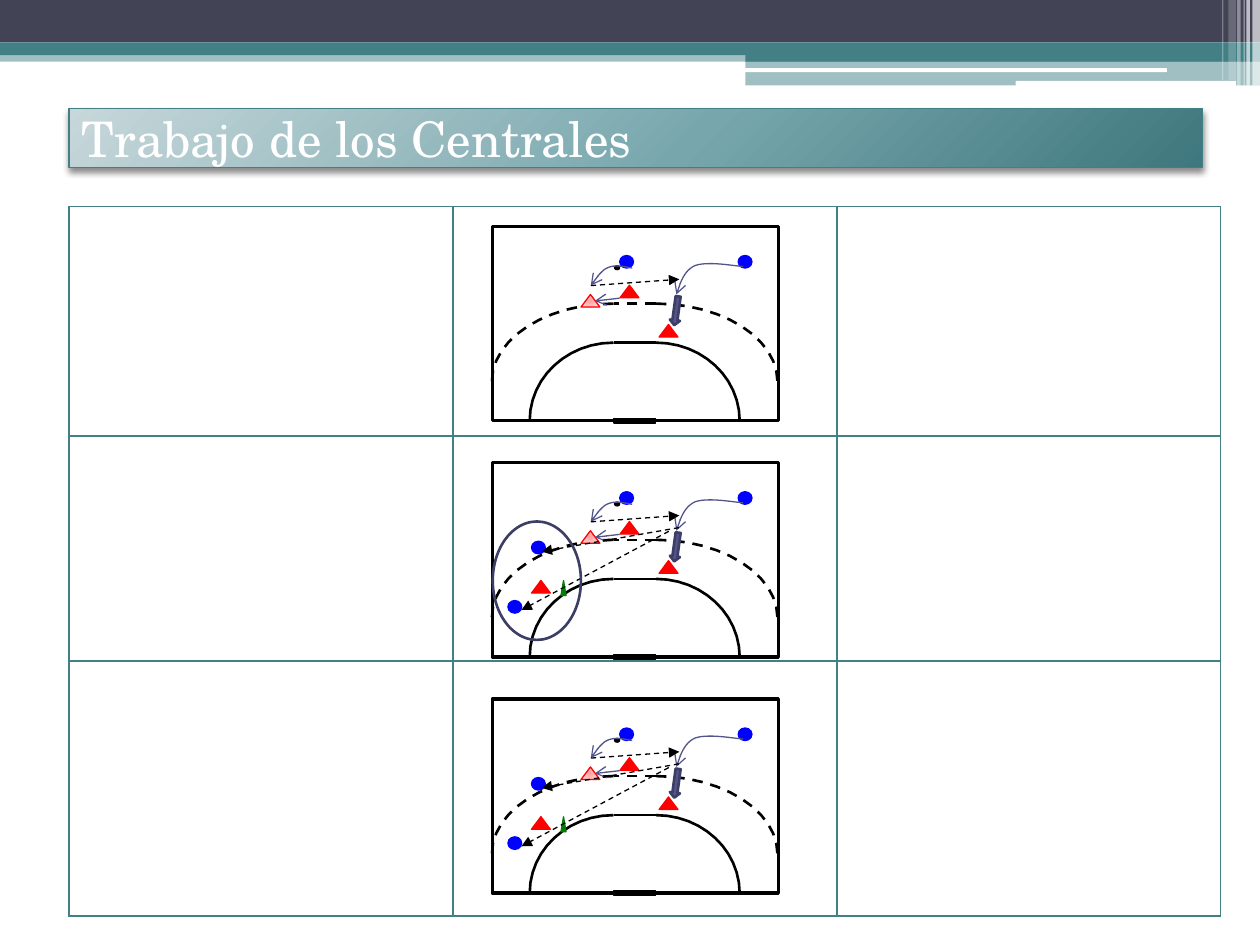
from lxml import etree
from pptx import Presentation
from pptx.dml.color import RGBColor
from pptx.enum.dml import MSO_LINE
from pptx.enum.shapes import MSO_CONNECTOR, MSO_SHAPE
from pptx.enum.text import MSO_ANCHOR, PP_ALIGN
from pptx.oxml import parse_xml
from pptx.oxml.ns import nsdecls, qn
from pptx.util import Pt

RECT, ROUND, OVAL = MSO_SHAPE.RECTANGLE, MSO_SHAPE.ROUNDED_RECTANGLE, MSO_SHAPE.OVAL
TRI, ARROW = MSO_SHAPE.ISOSCELES_TRIANGLE, MSO_SHAPE.LEFT_ARROW
DASH, STRAIGHT = MSO_LINE.DASH, MSO_CONNECTOR.STRAIGHT
MIDDLE, LEFT = MSO_ANCHOR.MIDDLE, PP_ALIGN.LEFT

TITLE, FONT = "Trabajo de los Centrales", "TeX Gyre Schola"
BLACK, WHITE, BLUE, RED, GREEN = "000000", "FFFFFF", "0000FF", "FF0000", "008000"
TEAL, SLATE, VIOLET, DEEP = "438086", "424456", "53548A", "3D3E66"

# kind, left, top, width, height, colour, opacity
BANDS = [
    (RECT, 0, 28.8, 720, 6.5, TEAL, 50), (RECT, 0, 0, 720, 24.3, SLATE, 100),
    (RECT, 0, 24.3, 720, 7.2, TEAL, 100), (RECT, 426, 28, 294, 7.2, TEAL, 100),
    (RECT, 426, 34.8, 294, 14, TEAL, 50), (ROUND, 425.6, 39, 241.2, 2.2, WHITE, 100),
    (ROUND, 580.4, 46.2, 126, 2.8, WHITE, 100),
]
# left, width, height, opacity
STRIPES = [(715.6, 4.4, 49, 65), (712.2, 2, 49, 65), (710.6, 0.7, 49, 60),
           (707, 2, 49, 40), (702, 4.3, 46, 20), (698.4, 0.7, 46, 30)]
TITLE_STOPS = [(0, "C7D7DA"), (55, "77A7AD"), (100, "3E777D")]
PALE_STOPS = [(0, "FFA0A0"), (50, "FFC5C5"), (100, "FFE3E3")]
TABLE_X, TABLE_Y, COL, ROWS = 39.4, 118.1, 219.4, (131, 128.6, 145.7)

# Places on a court are measured from its top left corner
COURT_X, COURT_Y, COURT_W, COURT_H, STEP = 281.4, 129.4, 163.4, 111, 135
DOT, CONE = (7.9, 7.2), (10.8, 7.2)
AREAS = [([(93.4, 66.4), (120, 66.4), (141.3, 86.4), (141.3, 111)], None),
         ([(93.4, 44.1), (131.6, 44.1), (162.9, 64), (162.9, 88.6)], DASH)]
RUNS = [[(79.9, 23.8), (74.9, 23), (69.8, 21.6), (65.5, 23.8),
         (61.9, 25.2), (56.2, 33.8), (56.2, 33.8)],
        [(143.3, 23), (132.5, 21.6), (122.4, 20.2), (115.9, 22.3),
         (109.4, 25.2), (107.3, 32.4), (105.1, 38.9)]]
MARKS = [(OVAL, (72.7, 16.6), DOT, BLUE), (TRI, (95.2, 56), CONE, RED),
         (TRI, (72.9, 33.6), CONE, RED), (OVAL, (140.4, 16.6), DOT, BLUE),
         (OVAL, (69.8, 22.5), (2.9, 2.2), BLACK)]
WIDE_MARKS = [(OVAL, (22.3, 44.9), DOT, BLUE), (TRI, (22.3, 67.3), CONE, RED),
              (TRI, (39.2, 67.3), (2.9, 8.6), GREEN), (OVAL, (8.8, 78.8), DOT, BLUE)]
PASS = ((56.3, 33.8), (106.8, 30.2))
BLOCK = ((72.7, 41), (58.5, 42.6))
WIDE = [((106.6, 37.1), (28.1, 50.8)), ((100.8, 39.2), (16.6, 84.2))]


def color(code):
    """Turn a hex string into a colour."""
    return RGBColor.from_string(code)


def shade(shape, stops, box):
    """Give a shape a radial gradient."""
    marks = "".join(f'<a:gs pos="{p * 1000}"><a:srgbClr val="{c}"/></a:gs>' for p, c in stops)
    sides = " ".join(f'{k}="{v * 1000}"' for k, v in zip("ltrb", box))
    shape.fill.background()
    old = shape._element.spPr.find(qn("a:noFill"))
    old.getparent().replace(old, parse_xml(
        f'<a:gradFill {nsdecls("a")} rotWithShape="1"><a:gsLst>{marks}</a:gsLst>'
        f'<a:path path="circle"><a:fillToRect {sides}/></a:path></a:gradFill>'))


def paint(line, hue, width, dash=None, tip=None):
    """Style a line, with an arrowhead if asked."""
    line.color.rgb, line.width = color(hue), Pt(width)
    if dash:
        line.dash_style = dash
    if tip:
        etree.SubElement(line._get_or_add_ln(), qn("a:tailEnd"), type=tip)


def draw(parts, kind, x, y, w, h, fill=None, edge=None, width=0.75, alpha=100):
    """Add a preset shape."""
    shape = parts.add_shape(kind, Pt(x), Pt(y), Pt(w), Pt(h))
    shape.shadow.inherit = False
    if fill:
        shape.fill.solid()
        shape.fill.fore_color.rgb = color(fill)
        if alpha < 100:
            tone = shape._element.spPr.find(".//" + qn("a:srgbClr"))
            etree.SubElement(tone, qn("a:alpha"), val=str(alpha * 1000))
    else:
        shape.fill.background()
    if edge:
        paint(shape.line, edge, width)
    else:
        shape.line.fill.background()
    return shape


def join(parts, start, end, *style):
    """Add a straight line."""
    wire = parts.add_connector(STRAIGHT, *[Pt(v) for v in (*start, *end)])
    paint(wire.line, *style)
    etree.SubElement(wire._element.spPr, qn("a:effectLst"))


def bend(parts, knots, *style):
    """Add an open curve through chained cubic segments."""
    spots = []
    for i in range(0, len(knots) - 1, 3):
        for n in range(13):
            t = n / 12
            rates = ((1 - t) ** 3, 3 * t * (1 - t) ** 2, 3 * t * t * (1 - t), t ** 3)
            spots.append(tuple(Pt(sum(r * k[a] for r, k in zip(rates, knots[i:i + 4])))
                               for a in (0, 1)))
    path = parts.build_freeform(*spots[0])
    path.add_line_segments(spots[1:], close=False)
    curve = path.convert_to_shape()
    curve.shadow.inherit = False
    curve.fill.background()
    paint(curve.line, *style)


def court(slide, top, wide):
    """Draw one court with its play; wide adds the wing players."""
    parts = slide.shapes.add_group_shape().shapes

    def at(*spots):
        return [(COURT_X + x, top + y) for x, y in spots]

    def place(marks):
        for kind, spot, size, hue in marks:
            draw(parts, kind, *at(spot)[0], *size, hue, hue)

    draw(parts, RECT, COURT_X, top, COURT_W, COURT_H, WHITE, BLACK, 2)
    for arc, dash in AREAS:
        twin = [(162.6 - x, y) for x, y in arc]
        for side in (arc, twin):
            bend(parts, at(*side), BLACK, 1.5, dash)
        join(parts, *at(arc[0], twin[0]), BLACK, 1.5, dash)
    draw(parts, RECT, *at((69.4, 109.6))[0], 24, 2.8, BLACK, BLACK)
    place(MARKS)
    pale = draw(parts, TRI, *at((50.6, 38.9))[0], *CONE, None, RED)
    shade(pale, PALE_STOPS, (50, 50, 50, 50))
    for run in RUNS:
        bend(parts, at(*run), VIOLET, 0.75, None, "arrow")
    join(parts, *at(*PASS), BLACK, 0.75, DASH, "triangle")
    shot = draw(parts, ARROW, *at((96.7, 45.3))[0], 16.6, 5.8, VIOLET, DEEP, 1.5)
    shot.rotation = 277.7
    join(parts, *at(*BLOCK), VIOLET, 0.75, None, "arrow")
    if wide:
        place(WIDE_MARKS)
        for ends in WIDE:
            join(parts, *at(*ends), BLACK, 0.75, DASH, "triangle")


def head(parts):
    """Draw the title bar."""
    bar = draw(parts, RECT, 39.4, 61.9, 648, 33.8, None, TEAL)
    shade(bar, TITLE_STOPS, (-40, -90, 140, 190))
    bar._element.spPr.find(qn("a:effectLst")).append(parse_xml(
        f'<a:outerShdw {nsdecls("a")} blurRad="50800" dist="25400" dir="5400000">'
        '<a:srgbClr val="000000"><a:alpha val="45000"/></a:srgbClr></a:outerShdw>'))
    frame = bar.text_frame
    frame.word_wrap, frame.vertical_anchor, frame.text = True, MIDDLE, TITLE
    para = frame.paragraphs[0]
    para.alignment = LEFT
    para.font.name, para.font.size, para.font.color.rgb = FONT, Pt(28), color(WHITE)


def grid(parts):
    """Add the empty table with thin borders."""
    table = parts.add_table(len(ROWS), 3, Pt(TABLE_X), Pt(TABLE_Y),
                            Pt(3 * COL), Pt(sum(ROWS))).table
    table.first_row = table.horz_banding = False
    for col in table.columns:
        col.width = Pt(COL)
    for row, high in zip(table.rows, ROWS):
        row.height = Pt(high)
    for cell in table.iter_cells():
        cell.fill.background()
        for i, side in enumerate("LRTB"):
            cell._tc.tcPr.insert(i, parse_xml(
                f'<a:ln{side} {nsdecls("a")} w="12700"><a:solidFill>'
                f'<a:srgbClr val="{TEAL}"/></a:solidFill></a:ln{side}>'))


deck = Presentation()
deck.slide_width, deck.slide_height = Pt(720), Pt(540)
slide = deck.slides.add_slide(deck.slide_layouts[6])
for *spec_box, hue, alpha in BANDS:
    draw(slide.shapes, *spec_box, hue, alpha=alpha)
for x, w, h, alpha in STRIPES:
    draw(slide.shapes, RECT, x, 0, w, h, WHITE, alpha=alpha)
head(slide.shapes)
grid(slide.shapes)
for n, wide in enumerate((False, True, True)):
    court(slide, COURT_Y + n * STEP, wide)
    if n == 1:
        draw(slide.shapes, OVAL, 281.6, 298, 50.4, 67.7, None, DEEP, 1.5)
deck.save("out.pptx")
